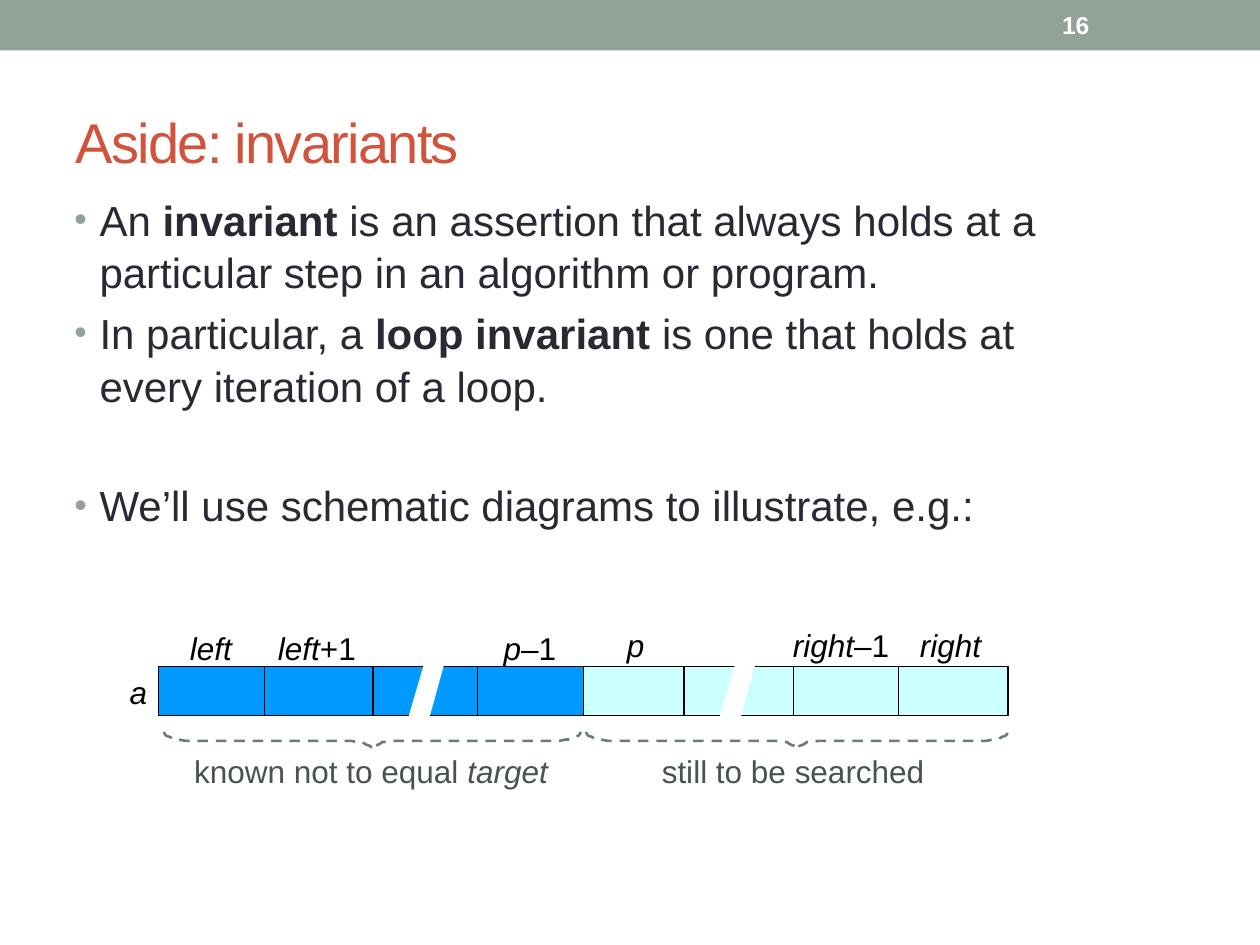
import dataclasses

import pptx
import pptx.dml.color
import pptx.enum.dml
import pptx.enum.shapes
import pptx.enum.text
import pptx.oxml
import pptx.oxml.ns
import pptx.util

Inches = pptx.util.Inches
Pt = pptx.util.Pt
ALIGN = pptx.enum.text.PP_ALIGN
ANCHOR = pptx.enum.text.MSO_ANCHOR


@dataclasses.dataclass(frozen=True)
class Theme:
    font: str = "Arial"
    band: str = "93A299"
    title: str = "D2533C"
    body: str = "292934"
    caption: str = "47534C"
    brace: str = "6B7D72"
    known: str = "0099FF"
    unsearched: str = "CCFFFF"
    black: str = "000000"
    white: str = "FFFFFF"
    title_size: int = 32
    body_size: int = 24
    label_size: int = 18
    number_size: int = 14


def rgb(color):
    return pptx.dml.color.RGBColor.from_string(color)


class SlideBuilder:
    def __init__(self, slide, theme):
        self.slide = slide
        self.theme = theme

    def add_runs(self, paragraph, runs, size, color):
        """Add runs given as (text, style), style being "", "b" or "i"."""
        for text, style in runs:
            run = paragraph.add_run()
            run.text = text
            run.font.name = self.theme.font
            run.font.size = Pt(size)
            run.font.color.rgb = rgb(color)
            run.font.bold = style == "b"
            run.font.italic = style == "i"

    def place(self, shape, left, top, width, height):
        shape.left, shape.top = Inches(left), Inches(top)
        shape.width, shape.height = Inches(width), Inches(height)

    def title(self, text, *box):
        shape = self.slide.shapes.title
        self.place(shape, *box)
        shape.text_frame.vertical_anchor = ANCHOR.MIDDLE
        paragraph = shape.text_frame.paragraphs[0]
        paragraph.alignment = ALIGN.LEFT
        self.add_runs(paragraph, [(text, "")], self.theme.title_size, self.theme.title)
        paragraph.runs[0].font._element.set("spc", "-100")

    def bullet(self, paragraph):
        properties = paragraph._p.get_or_add_pPr()
        properties.set("marL", str(Inches(0.2)))
        properties.set("indent", str(Inches(-0.2)))
        namespace = pptx.oxml.ns.nsdecls("a")
        for element in (
            f'<a:buClr {namespace}><a:srgbClr val="{self.theme.band}"/></a:buClr>',
            f'<a:buSzPct {namespace} val="85000"/>',
            f'<a:buFont {namespace} typeface="{self.theme.font}"/>',
            f'<a:buChar {namespace} char="•"/>',
        ):
            properties.append(pptx.oxml.parse_xml(element))

    def body(self, items, *box):
        """Fill the list with (space before, runs) items."""
        shape = self.slide.placeholders[1]
        self.place(shape, *box)
        frame = shape.text_frame
        frame.auto_size = pptx.enum.text.MSO_AUTO_SIZE.NONE
        for index, (space, runs) in enumerate(items):
            paragraph = frame.add_paragraph() if index else frame.paragraphs[0]
            self.bullet(paragraph)
            paragraph.space_before = Pt(space)
            paragraph.line_spacing = 1.05
            self.add_runs(paragraph, runs, self.theme.body_size, self.theme.body)

    def text_box(self, runs, box, size, color, align=ALIGN.CENTER, wrap=True):
        shape = self.slide.shapes.add_textbox(*map(Inches, box))
        frame = shape.text_frame
        frame.word_wrap = wrap
        frame.margin_left = frame.margin_right = 0
        frame.margin_top = frame.margin_bottom = 0
        paragraph = frame.paragraphs[0]
        paragraph.alignment = align
        self.add_runs(paragraph, runs, size, color)
        return shape

    def label(self, runs, left, top, width=0.83, color=Theme.black, **options):
        self.text_box(runs, (left, top, width, 0.3), self.theme.label_size, color, **options)

    def rectangle(self, box, fill, line=None):
        shape = self.slide.shapes.add_shape(
            pptx.enum.shapes.MSO_SHAPE.RECTANGLE, *map(Inches, box))
        self.paint(shape, fill, line, 0.75)

    def paint(self, shape, fill, line=None, width=0):
        shape.shadow.inherit = False
        if fill:
            shape.fill.solid()
            shape.fill.fore_color.rgb = rgb(fill)
        else:
            shape.fill.background()
        if line:
            shape.line.color.rgb = rgb(line)
            shape.line.width = Pt(width)
        else:
            shape.line.fill.background()

    def outline(self, points, close):
        points = [(Inches(x), Inches(y)) for x, y in points]
        builder = self.slide.shapes.build_freeform(*points[0])
        builder.add_line_segments(points[1:], close=close)
        return builder.convert_to_shape()

    def gap(self, left, top):
        """Slanted white strip that breaks the row of cells."""
        points = [(0.17, 0), (0.33, 0), (0.17, 0.58), (0, 0.58)]
        self.paint(self.outline([(left + x, top + y) for x, y in points], True),
                   self.theme.white)

    def brace(self, left, top, width):
        """Dashed brace opening upwards; each bend repeats one curve."""
        bend = [(0, 0), (0.01, 0.02), (0.02, 0.03), (0.05, 0.04), (0.08, 0.06),
                (0.12, 0.06), (0.17, 0.07), (0.22, 0.07), (0.28, 0.07)]
        half = bend + [(width / 2 - x, 0.14 - y) for x, y in reversed(bend)]
        points = half + [(width - x, y) for x, y in reversed(half[:-1])]
        shape = self.outline([(left + x, top + y) for x, y in points], False)
        self.paint(shape, None, self.theme.brace, 1.5)
        shape.line.dash_style = pptx.enum.dml.MSO_LINE.DASH


def main():
    presentation = pptx.Presentation()
    presentation.slide_width, presentation.slide_height = Inches(10), Inches(7.5)
    theme = Theme()
    slide = presentation.slides.add_slide(presentation.slide_layouts[1])
    builder = SlideBuilder(slide, theme)

    builder.rectangle((0, 0, 10, 0.4), theme.band)
    builder.title("Aside: invariants", 0.5, 0.58, 9, 1.08)
    builder.body([
        (0, [("An", ""), (" invariant", "b"),
             (" is an assertion that always holds at a particular step"
              " in an algorithm or program.", "")]),
        (4.4, [("In particular, a ", ""), ("loop invariant", "b"),
               (" is one that holds at every iteration of a loop.", "")]),
        (38, [("We’ll use schematic diagrams to illustrate, e.g.:", "")]),
    ], 0.49, 1.47, 8.33, 5.25)

    cells = [(left, theme.known) for left in (1.26, 2.1, 2.96, 3.79)]
    cells += [(left, theme.unsearched) for left in (4.63, 6.26, 5.43, 7.13)]
    for left, fill in cells:
        builder.rectangle((left, 5.29, 0.87, 0.39), fill, theme.black)
    for left in (3.21, 5.68):
        builder.gap(left, 5.22)

    for left, top, name, offset in (
        (1.26, 4.99, "left", ""),
        (2.1, 4.99, "left", "+1"),
        (3.79, 4.99, "p", "–1"),
        (4.63, 4.97, "p", ""),
        (6.26, 4.97, "right", "–1"),
        (7.13, 4.97, "right", ""),
    ):
        builder.label([(name, "i")] + ([(offset, "")] if offset else []), left, top)
    builder.label([("a", "i")], 1.03, 5.34, 0.14, align=ALIGN.LEFT, wrap=False)

    builder.brace(1.3, 5.81, 3.31)
    builder.brace(4.65, 5.81, 3.35)
    builder.label([("known not to equal ", ""), ("target", "i")],
                  1.38, 5.97, 3.13, theme.caption)
    builder.label([("still to be searched", "")], 4.71, 5.97, 3.17, theme.caption)

    number = builder.text_box([("16", "b")], (8.43, 0.02, 1.07, 0.36),
                              theme.number_size, theme.white, ALIGN.LEFT)
    number.text_frame.vertical_anchor = ANCHOR.MIDDLE
    presentation.save("out.pptx")


if __name__ == "__main__":
    main()
